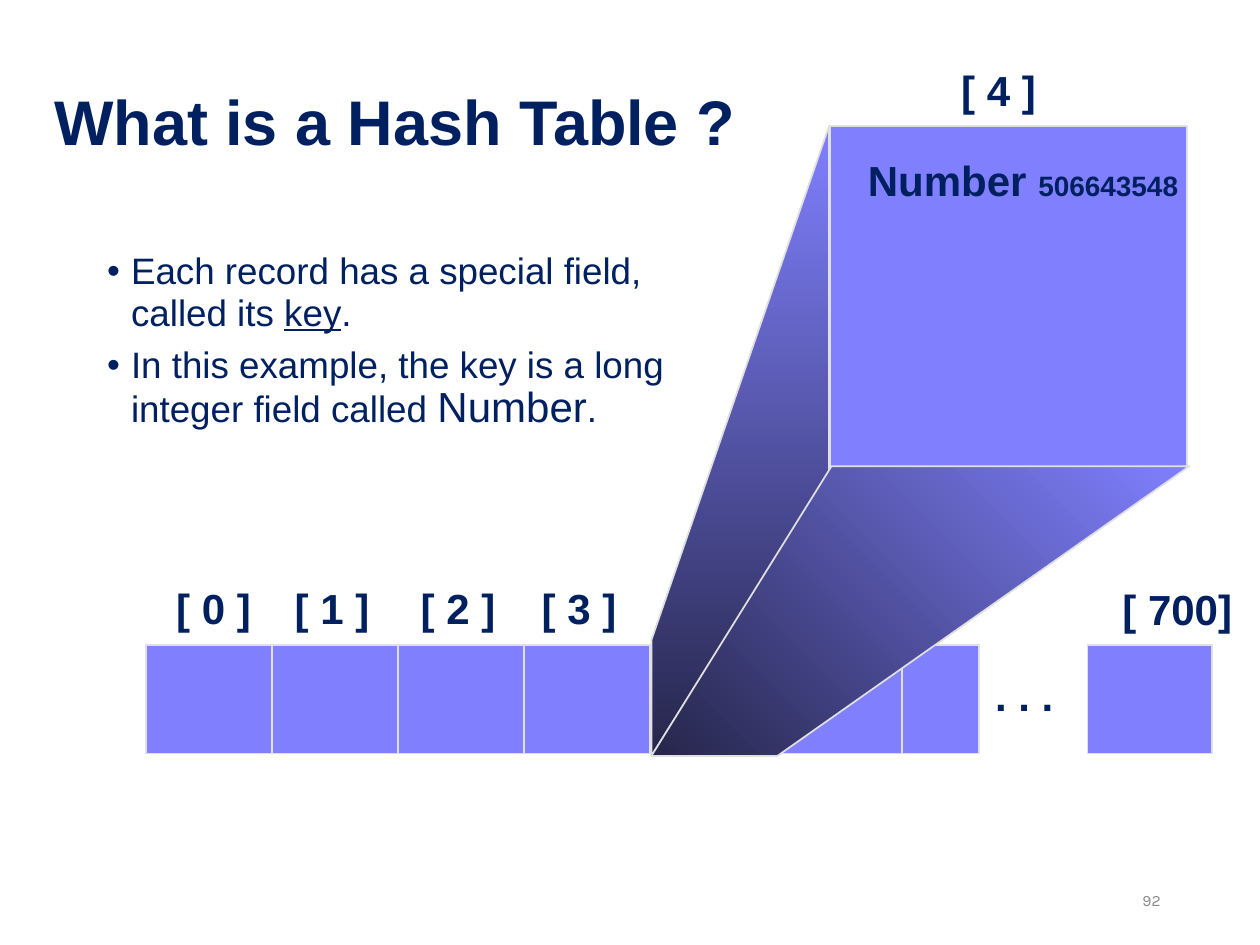
"""Build a slide that explains the key field of a hash table record."""
from lxml import etree
from pptx import Presentation
from pptx.dml.color import RGBColor
from pptx.enum.shapes import MSO_CONNECTOR, MSO_SHAPE
from pptx.enum.text import MSO_ANCHOR, MSO_AUTO_SIZE, PP_ALIGN
from pptx.oxml.ns import qn
from pptx.util import Inches, Pt

ROUND, LINE = MSO_SHAPE.ROUNDED_RECTANGLE, MSO_CONNECTOR.STRAIGHT
LEFT, MID, RIGHT = PP_ALIGN.LEFT, PP_ALIGN.CENTER, PP_ALIGN.RIGHT
TOP, CENTER = MSO_ANCHOR.TOP, MSO_ANCHOR.MIDDLE
FIXED = MSO_AUTO_SIZE.NONE

HEX = {"ink": "002060", "cell": "8080FF", "dark": "26264B",
       "edge": "E0E0E0", "gray": "898989"}
RGB = {name: RGBColor.from_string(code) for name, code in HEX.items()}

TITLE = "What is a Hash Table ?"
BODY = [
    (0.95, 0, [("Each record has a special field, called its ", {}),
               ("key", {"underline": True}), (".", {})]),
    (0.9, 7, [("In this example, the key is a long integer field called ", {}),
              ("Number", {"size": Pt(24)}), (".", {})]),
]
BOLD = {"name": "Arial", "size": Pt(24), "bold": True}
PLAIN = {"name": "Arial", "size": Pt(21), "bold": False}

CELL, ROW, TALL = 1, 5.12, 0.86
START, SPAN = 1.16, 6.61
BOXES = [(START, ROW, SPAN, TALL), (8.63, ROW, 0.99, TALL), (6.59, 1, 2.83, 2.71)]
SIDES = [
    (270, [(5.17, 5.08), (6.58, 1), (6.58, 3.75), (5.17, 6)]),
    (225, [(5.17, 6), (6.6, 3.7), (9.44, 3.7), (6.17, 6)]),
]
LABELS = [
    ("[ 0 ]", 1.3, 4.61, 0.79, LEFT),
    ("[ 1 ]", 2.24, 4.61, 0.79, MID),
    ("[ 2 ]", 3.24, 4.61, 0.79, MID),
    ("[ 3 ]", 4.2, 4.61, 0.79, MID),
    (". . .", 7.8, 5.3, 0.66, LEFT),
    ("[ 700]", 8.81, 4.62, 1.07, LEFT),
    ("[ 4 ]", 7.53, 0.5, 0.79, MID),
]


def place(shape, box):
    shape.left, shape.top, shape.width, shape.height = map(Inches, box)


def write(para, runs, base, tint="ink"):
    for text, extra in runs:
        run = para.add_run()
        run.text = text
        for key, value in {**base, **extra}.items():
            setattr(run.font, key, value)
        run.font.color.rgb = RGB[tint]


def setup(frame, wrap, anchor):
    frame.auto_size = FIXED
    frame.word_wrap = wrap
    frame.vertical_anchor = anchor


def label(slide, box, runs, align, base=BOLD, tint="ink", wrap=False, anchor=TOP):
    frame = slide.shapes.add_textbox(*map(Inches, box)).text_frame
    setup(frame, wrap, anchor)
    para = frame.paragraphs[0]
    para.alignment, para.line_spacing = align, 0.93
    write(para, runs, base, tint)


def edge(line):
    line.color.rgb = RGB["edge"]
    line.width = Pt(1)


def block(slide, box):
    shape = slide.shapes.add_shape(ROUND, *map(Inches, box))
    shape.adjustments[0] = 0
    shape.shadow.inherit = False
    shape.fill.solid()
    shape.fill.fore_color.rgb = RGB["cell"]
    edge(shape.line)


def rule(slide, x):
    ends = (x, ROW, x, ROW + TALL)
    line = slide.shapes.add_connector(LINE, *map(Inches, ends))
    edge(line.line)
    etree.SubElement(line._element.spPr, qn("a:effectLst"))


def side(slide, angle, points):
    first, *rest = [tuple(map(Inches, point)) for point in points]
    maker = slide.shapes.build_freeform(*first)
    maker.add_line_segments(rest, close=True)
    shape = maker.convert_to_shape()
    shape.shadow.inherit = False
    shape.fill.gradient()
    shape.fill.gradient_angle = angle
    stops = zip(shape.fill.gradient_stops, (0, 1), ("cell", "dark"))
    for stop, spot, tint in stops:
        stop.position = spot
        stop.color.rgb = RGB[tint]
    edge(shape.line)


def bullet(para):
    props = para._p.get_or_add_pPr()
    props.set("marL", str(Inches(0.19)))
    props.set("indent", str(-Inches(0.19)))
    tint = etree.SubElement(props, qn("a:buClr"))
    etree.SubElement(tint, qn("a:srgbClr"), val=HEX["ink"])
    etree.SubElement(props, qn("a:buFont"), typeface="Arial")
    etree.SubElement(props, qn("a:buChar"), char="•")


def main():
    deck = Presentation()
    deck.slide_width, deck.slide_height = Inches(10), Inches(7.5)
    slide = deck.slides.add_slide(deck.slide_layouts[1])
    title, body = slide.placeholders

    place(title, (0.33, 0.37, 8.5, 1.25))
    setup(title.text_frame, True, CENTER)
    para = title.text_frame.paragraphs[0]
    para.alignment, para.line_spacing = LEFT, 0.9
    write(para, [(TITLE, {"size": Pt(36)})], BOLD)

    place(body, (0.75, 1.94, 4.95, 4.5))
    frame = body.text_frame
    setup(frame, True, TOP)
    for i, (pitch, gap, runs) in enumerate(BODY):
        para = frame.add_paragraph() if i else frame.paragraphs[0]
        bullet(para)
        para.line_spacing, para.space_before = pitch, Pt(gap)
        write(para, runs, PLAIN)

    row, last, record = BOXES
    block(slide, row)
    for i in range(1, 7):
        rule(slide, START + i * CELL)
    block(slide, last)
    block(slide, record)
    for angle, points in SIDES:
        side(slide, angle, points)

    for text, x, y, wide, align in LABELS:
        label(slide, (x, y, wide, 0.47), [(text, {})], align)
    label(slide, (6.79, 1.21, 2.66, 0.47),
          [("Number ", {}), ("506643548", {"size": Pt(16)})], LEFT)
    label(slide, (7.06, 6.95, 2.25, 0.4), [("92", {})], RIGHT,
          {"name": "Karla", "size": Pt(9)}, "gray", True, CENTER)
    deck.save("out.pptx")


if __name__ == "__main__":
    main()
